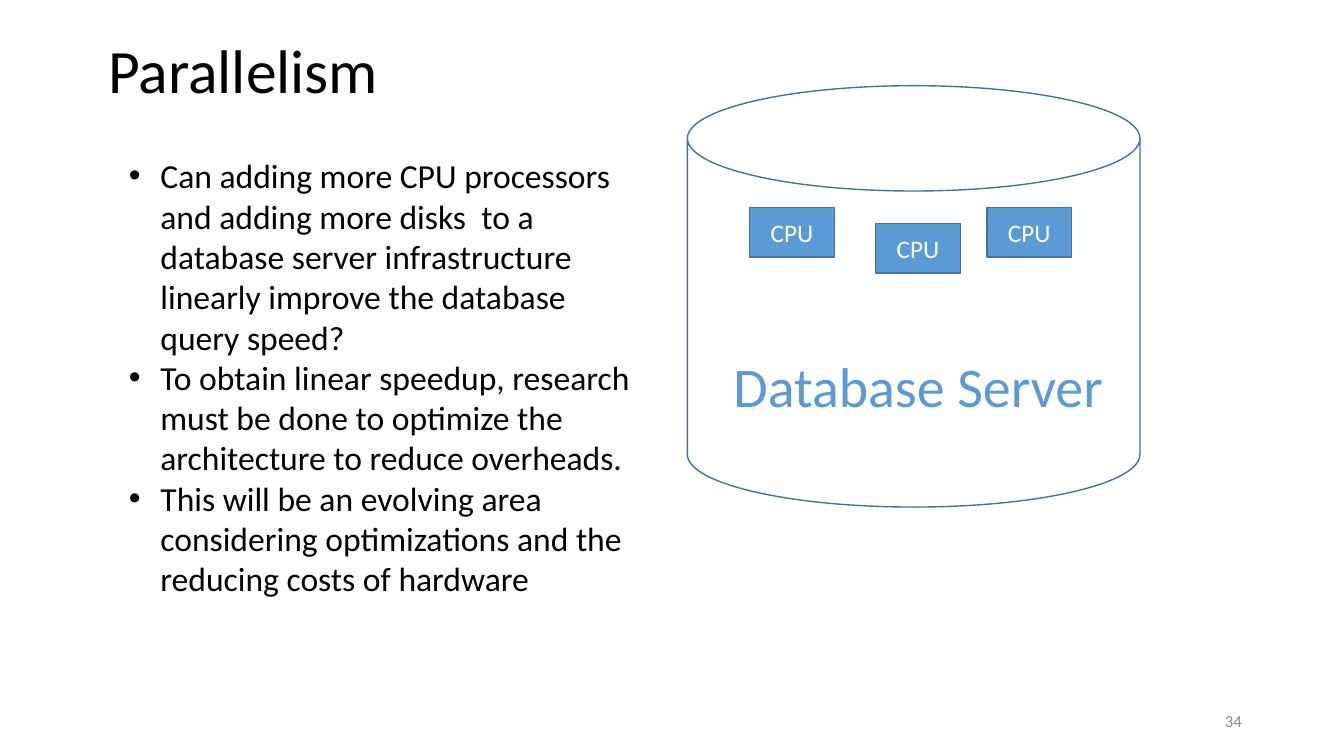
from dataclasses import dataclass

from lxml import etree
from pptx import Presentation
from pptx.dml.color import RGBColor
from pptx.enum import shapes, text
from pptx.oxml.ns import qn
from pptx.util import Pt

COLORS = {
    "white": "FFFFFF",
    "black": "000000",
    "blue": "5B9BD5",
    "outline": "43739E",
    "gray": "8C8C8C",
}
FONT = "Calibri"
INDENT = Pt(22.5)
CPU_WIDTH, CPU_HEIGHT = 60.5, 35.3
QUESTIONS = [
    "Can adding more CPU processors and adding more disks  to a database server "
    "infrastructure linearly improve the database query speed?",
    "To obtain linear speedup, research must be done to optimize the architecture "
    "to reduce overheads.",
    "This will be an evolving area considering optimizations and the reducing costs "
    "of hardware",
]


@dataclass
class Box:
    """A rectangle on the slide, in points."""
    left: float
    top: float
    width: float
    height: float

    def emu(self) -> tuple:
        return Pt(self.left), Pt(self.top), Pt(self.width), Pt(self.height)


@dataclass
class Style:
    size: float
    color: str
    align: text.PP_ALIGN = text.PP_ALIGN.LEFT
    anchor: text.MSO_ANCHOR = text.MSO_ANCHOR.TOP
    wrap: bool = True
    bullet: bool = False
    line_spacing: float = 1.0


def rgb(name: str) -> RGBColor:
    return RGBColor.from_string(COLORS[name])


def add_bullet(p) -> None:
    pPr = p._p.get_or_add_pPr()
    pPr.set("marL", str(INDENT))
    pPr.set("indent", str(-INDENT))
    etree.SubElement(pPr, qn("a:buFont")).set("typeface", "Arial")
    etree.SubElement(pPr, qn("a:buChar")).set("char", "•")


def write(tf, lines: list[str], style: Style) -> None:
    frame_format = {
        "word_wrap": style.wrap,
        "vertical_anchor": style.anchor,
        "auto_size": text.MSO_AUTO_SIZE.NONE,
    }
    for name, value in frame_format.items():
        setattr(tf, name, value)
    for i, line in enumerate(lines):
        p = tf.add_paragraph() if i else tf.paragraphs[0]
        p.alignment, p.line_spacing = style.align, style.line_spacing
        if style.bullet:
            add_bullet(p)
        r = p.add_run()
        r.text = line
        for name, value in {"name": FONT, "size": Pt(style.size)}.items():
            setattr(r.font, name, value)
        r.font.color.rgb = rgb(style.color)


def add_text(s, box: Box, lines: list[str], style: Style) -> None:
    write(s.shapes.add_textbox(*box.emu()).text_frame, lines, style)


def add_outlined(s, kind: shapes.MSO_SHAPE, box: Box, fill: str):
    sp = s.shapes.add_shape(kind, *box.emu())
    sp.shadow.inherit = False
    sp.fill.solid()
    sp.fill.fore_color.rgb = rgb(fill)
    sp.line.color.rgb = rgb("outline")
    sp.line.width = Pt(1)
    return sp


def main() -> None:
    center, middle = text.PP_ALIGN.CENTER, text.MSO_ANCHOR.MIDDLE
    prs = Presentation()
    prs.slide_width, prs.slide_height = Pt(960), Pt(540)
    s = prs.slides.add_slide(prs.slide_layouts[5])

    title = s.shapes.title
    title.left, title.top, title.width, title.height = Box(70, 0, 824, 104.4).emu()
    write(title.text_frame, ["Parallelism"],
          Style(44, "black", anchor=middle, line_spacing=0.9))

    add_outlined(s, shapes.MSO_SHAPE.CAN, Box(491, 61.2, 323.3, 301), "white")
    add_text(s, Box(85, 107.3, 383.8, 327), QUESTIONS, Style(24, "black", bullet=True))

    for left, top in [(535.5, 148.3), (625.5, 159.8), (705, 148.3)]:
        cpu = add_outlined(s, shapes.MSO_SHAPE.RECTANGLE,
                           Box(left, top, CPU_WIDTH, CPU_HEIGHT), "blue")
        write(cpu.text_frame, ["CPU"], Style(18, "white", center, middle))

    add_text(s, Box(500.4, 247.7, 311, 88.6), ["Database Server"],
             Style(40, "blue", center, wrap=False))
    add_text(s, Box(678.2, 500.4, 216, 28.8), ["34"],
             Style(12, "gray", text.PP_ALIGN.RIGHT, middle))
    prs.save("out.pptx")


if __name__ == "__main__":
    main()
